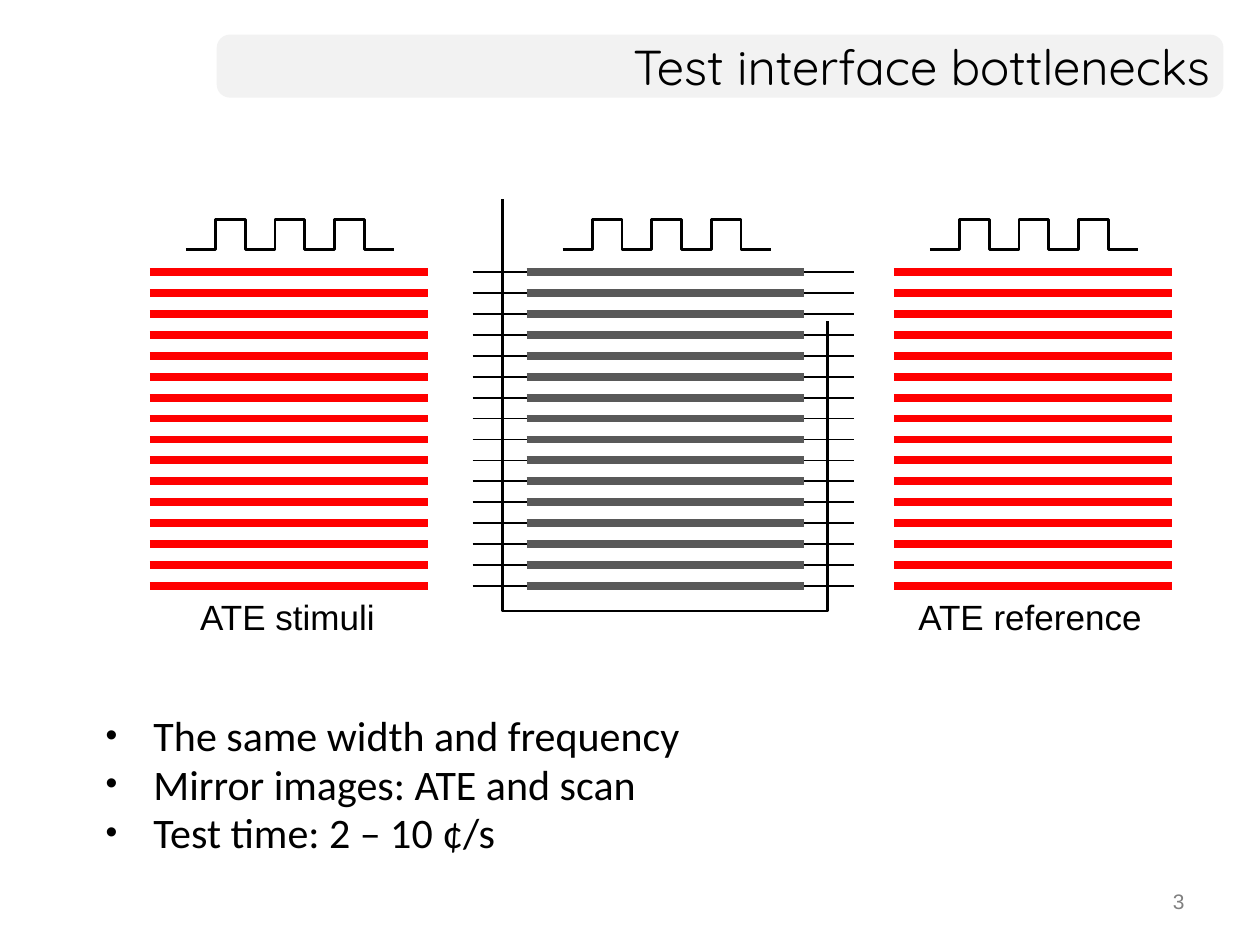
from dataclasses import dataclass

import lxml.etree
import pptx
import pptx.dml.color
import pptx.enum.shapes
import pptx.enum.text
import pptx.oxml.ns
import pptx.util

BLACK = pptx.dml.color.RGBColor(0x00, 0x00, 0x00)
RED = pptx.dml.color.RGBColor(0xFF, 0x00, 0x00)
DARK_GREY = pptx.dml.color.RGBColor(0x59, 0x59, 0x59)
MID_GREY = pptx.dml.color.RGBColor(0x80, 0x80, 0x80)
PALE_GREY = pptx.dml.color.RGBColor(0xF2, 0xF2, 0xF2)

ALIGN = pptx.enum.text.PP_ALIGN
ANCHOR = pptx.enum.text.MSO_ANCHOR

# The slide is a grid of 100 columns by 75 rows; all lengths are in grid cells
COLUMNS, ROWS = 100, 75
CELL = pptx.util.Inches(0.1)

CHAIN_COUNT = 16
CHAIN_TOP, CHAIN_PITCH = 21.6, 1.66
CHAIN_LENGTH = 22.05
CLOCK_INSET, CLOCK_STEP = 2.85, 2.36
CLOCK_LOW, CLOCK_HIGH = 19.8, 17.4
CLOCK_PULSES = 3


@dataclass(frozen=True)
class Bank:
    """A stack of scan chains with a clock above it."""
    left: float
    color: pptx.dml.color.RGBColor


STIMULI = Bank(11.9, RED)
CORE = Bank(41.8, DARK_GREY)
REFERENCE = Bank(70.95, RED)


def cells(count: float) -> int:
    return round(count * CELL)


def add_bullet(paragraph, indent: float) -> None:
    properties = paragraph._p.get_or_add_pPr()
    properties.set("marL", str(cells(indent)))
    properties.set("indent", str(-cells(indent)))

    def add(parent, tag, **attributes):
        return lxml.etree.SubElement(parent, pptx.oxml.ns.qn(tag), attributes)

    add(add(properties, "a:buClr"), "a:srgbClr", val=str(BLACK))
    add(properties, "a:buSzPct", val="80000")
    add(properties, "a:buFont", typeface="Arial")
    add(properties, "a:buChar", char="•")


def add_text(slide, text: str, left: float, top: float, width: float, height: float, *,
             size: float, font: str = "Arial", color=BLACK, align=ALIGN.LEFT,
             anchor=ANCHOR.TOP, wrap: bool = True, bullet_indent: float = 0,
             line_spacing: float = 1, space_before: float = 0) -> None:
    box = slide.shapes.add_textbox(cells(left), cells(top), cells(width), cells(height))
    frame = box.text_frame
    frame.word_wrap = wrap
    frame.vertical_anchor = anchor
    for index, line in enumerate(text.split("\n")):
        paragraph = frame.add_paragraph() if index else frame.paragraphs[0]
        if bullet_indent:
            add_bullet(paragraph, bullet_indent)
        paragraph.alignment = align
        paragraph.line_spacing = line_spacing
        if index:
            paragraph.space_before = pptx.util.Pt(space_before)
        run = paragraph.add_run()
        run.text = line
        run.font.name = font
        run.font.size = pptx.util.Pt(size)
        run.font.color.rgb = color


def add_stack(slide, left: float, length: float, color, weight: float) -> None:
    """Draw one horizontal line per scan chain, as a group."""
    stack = slide.shapes.add_group_shape()
    for index in range(CHAIN_COUNT):
        y = cells(CHAIN_TOP + index * CHAIN_PITCH)
        chain = stack.shapes.add_connector(
            pptx.enum.shapes.MSO_CONNECTOR.STRAIGHT, cells(left), y, cells(left + length), y)
        chain.line.color.rgb = color
        chain.line.width = pptx.util.Pt(weight)
        lxml.etree.SubElement(chain._element.spPr, pptx.oxml.ns.qn("a:effectLst"))


def add_trace(slide, points: list[tuple[float, float]]) -> None:
    """Draw an open outline through the given grid points."""
    start, *others = [(cells(x), cells(y)) for x, y in points]
    builder = slide.shapes.build_freeform(*start)
    builder.add_line_segments(others, close=False)
    trace = builder.convert_to_shape()
    trace.shadow.inherit = False
    trace.fill.background()
    trace.line.color.rgb = BLACK
    trace.line.width = pptx.util.Pt(1.5)


def add_clock(slide, bank: Bank) -> None:
    left = bank.left + CLOCK_INSET
    points = [(left, CLOCK_LOW)]
    level = CLOCK_LOW
    for edge in range(1, 2 * CLOCK_PULSES + 1):
        x = left + edge * CLOCK_STEP
        points.append((x, level))
        level = CLOCK_HIGH if level == CLOCK_LOW else CLOCK_LOW
        points.append((x, level))
    points.append((left + (2 * CLOCK_PULSES + 1) * CLOCK_STEP, CLOCK_LOW))
    add_trace(slide, points)


def add_title(slide) -> None:
    band = slide.shapes.add_shape(pptx.enum.shapes.MSO_SHAPE.ROUNDED_RECTANGLE,
                                  cells(17.2), cells(2.75), cells(79.9), cells(5))
    band.adjustments[0] = 0.21
    band.shadow.inherit = False
    band.fill.solid()
    band.fill.fore_color.rgb = PALE_GREY
    band.line.fill.background()
    add_text(slide, "Test interface bottlenecks", 17.7, 2.7, 79.3, 5, size=28,
             font="Quicksand", align=ALIGN.RIGHT, anchor=ANCHOR.MIDDLE)


def main() -> None:
    presentation = pptx.Presentation()
    presentation.slide_width = COLUMNS * CELL
    presentation.slide_height = ROWS * CELL
    slide = presentation.slides.add_slide(presentation.slide_layouts[6])

    add_title(slide)
    add_text(slide, "3", 71.7, 70, 23.3, 3.5, size=12, color=MID_GREY, align=ALIGN.RIGHT)

    # Captions under the tester banks
    add_text(slide, "ATE stimuli", 14.9, 46.8, 16.1, 4.4, size=20, wrap=False)
    add_text(slide, "ATE reference", 71.9, 46.8, 20, 4.4, size=20, wrap=False)

    # Conclusions
    add_text(slide,
             "The same width and frequency\nMirror images: ATE and scan\nTest time: 2 – 10 ¢/s",
             7.4, 56.6, 78.4, 11.6, size=24, font="Calibri", bullet_indent=3.8,
             line_spacing=0.8, space_before=4.8)

    # Pins through the core and the scan path around it
    add_stack(slide, 37.5, 30.3, BLACK, 1)
    add_trace(slide, [(39.9, 15.8), (39.9, 48.5), (65.65, 48.5), (65.65, 25.5)])

    # Clocks and scan chains
    for bank in (STIMULI, CORE, REFERENCE):
        add_clock(slide, bank)
        add_stack(slide, bank.left, CHAIN_LENGTH, bank.color, 4.5)

    presentation.save("out.pptx")


if __name__ == "__main__":
    main()
